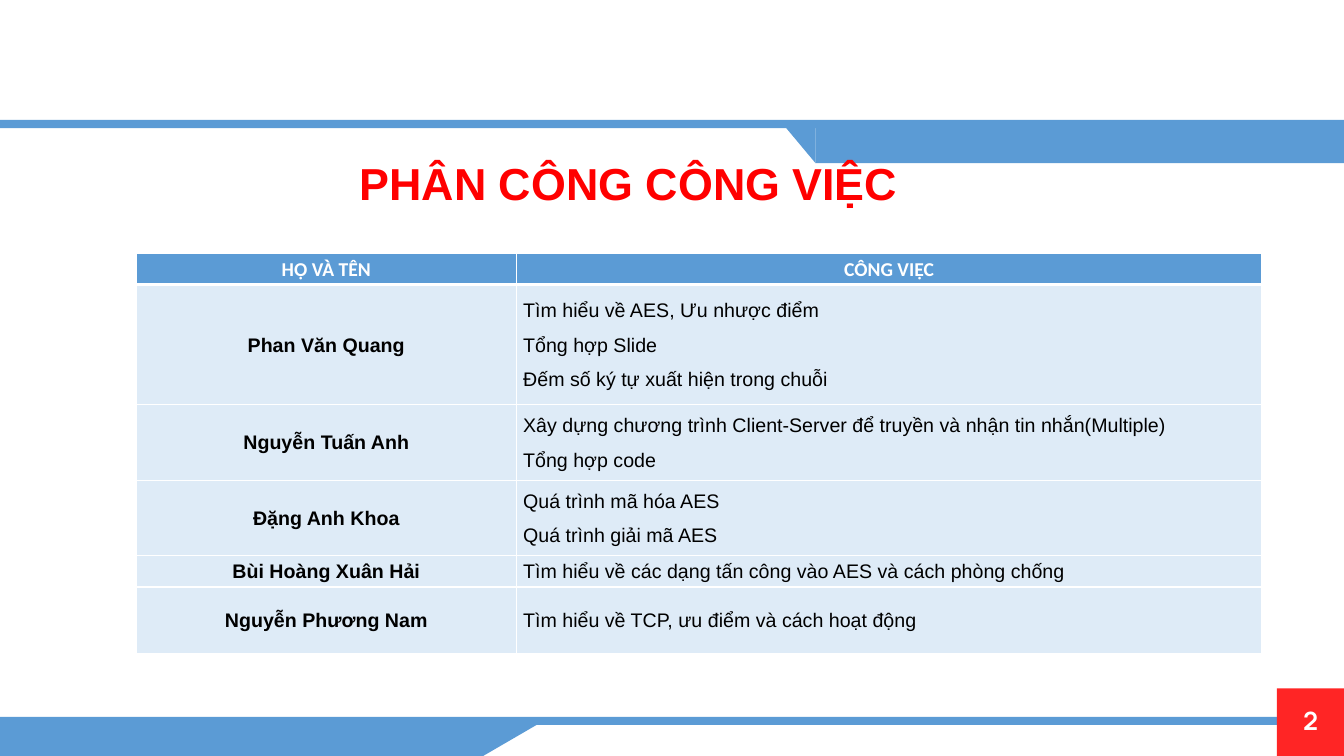
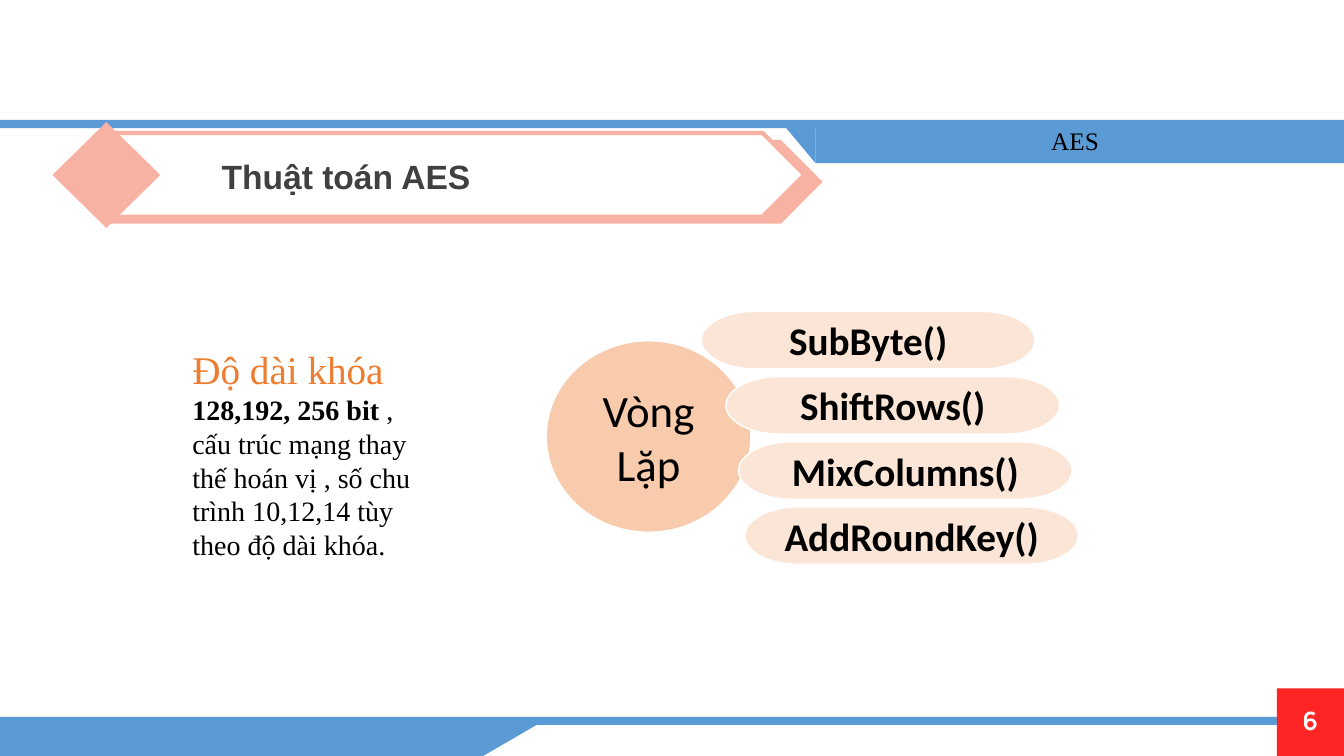
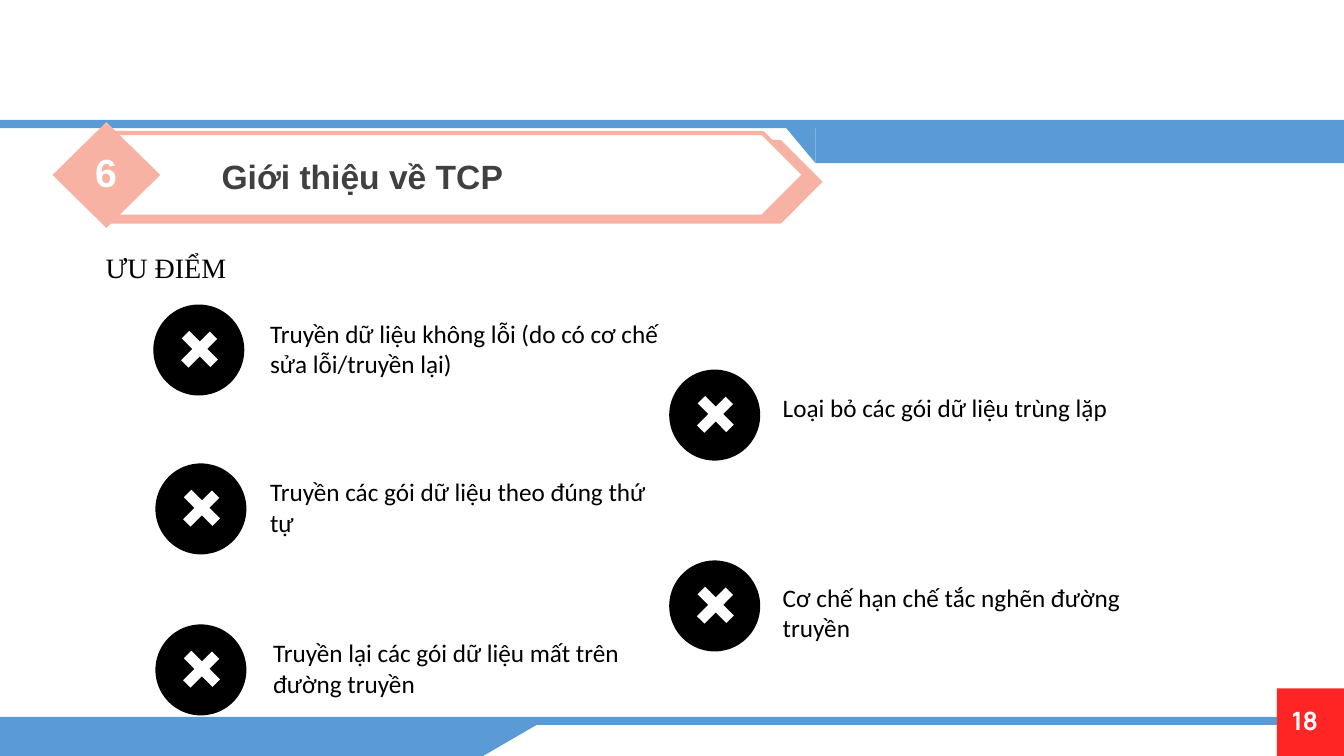
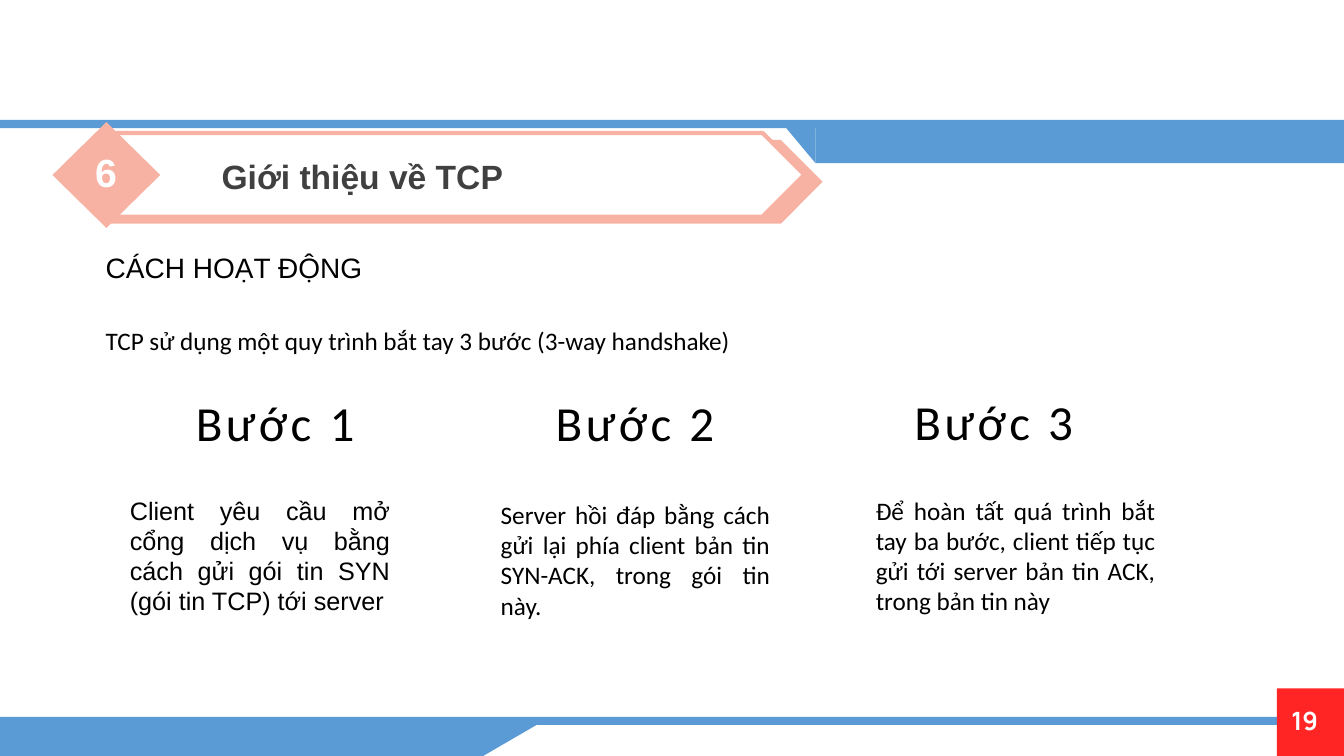
from pptx import Presentation
from pptx.dml.color import RGBColor
from pptx.enum import shapes as es, text as et
from pptx.oxml import parse_xml
from pptx.oxml.ns import nsdecls
from pptx.util import Pt

BLUE, RED, PINK, WHITE, BLACK = "5B9BD5", "FF2525", "F8B2A3", "FFFFFF", "000000"
GREY, ORANGE, PEACH, CREAM, PALE = "404040", "ED7D31", "F8CBAD", "FBE5D6", "DEEBF7"
KIND, ALIGN = es.MSO_SHAPE, et.PP_ALIGN
MID = et.MSO_ANCHOR.MIDDLE
SERIF = "Times New Roman"

HEADS = ["HỌ VÀ TÊN", "CÔNG VIỆC"]
TASKS = [
    ("Phan Văn Quang", ["Tìm hiểu về AES, Ưu nhược điểm", "Tổng hợp Slide",
                        "Đếm số ký tự xuất hiện trong chuỗi"], 85.7),
    ("Nguyễn Tuấn Anh", ["Xây dựng chương trình Client-Server để truyền và nhận tin nhắn(Multiple)",
                         "Tổng hợp code"], 54),
    ("Đặng Anh Khoa", ["Quá trình mã hóa AES", "Quá trình giải mã AES"], 54),
    ("Bùi Hoàng Xuân Hải", ["Tìm hiểu về các dạng tấn công vào AES và cách phòng chống"], 22.3),
    ("Nguyễn Phương Nam", ["Tìm hiểu về TCP, ưu điểm và cách hoạt động"], 47.5),
]
KEYS = [
    [("Độ dài khóa", {"size": 28, "color": ORANGE})],
    [("128,192, 256 bit ", {"bold": True}),
     (", cấu trúc mạng thay thế hoán vị , số chu trình 10,12,14 tùy theo độ dài khóa.", {})],
]
LOOP = [("SubByte()", 501), ("ShiftRows()", 518.5), ("MixColumns()", 527.5), ("AddRoundKey()", 532)]
# text, badge left and top, text left, top and width
PROS = [
    ("Truyền dữ liệu không lỗi (do có cơ chế sửa lỗi/truyền lại)", 109.5, 217.5, 185.8, 224, 292),
    ("Truyền các gói dữ liệu theo đúng thứ tự", 111, 331, 185.8, 337, 292),
    ("Truyền lại các gói dữ liệu mất trên đường truyền", 111, 446, 188, 452, 291),
    ("Loại bỏ các gói dữ liệu trùng lặp", 478, 264, 552, 276.5, 273),
    ("Cơ chế hạn chế tắc nghẽn đường truyền", 478, 400.3, 552, 412.5, 273),
]
# heading left and top, text, its left, top and width, font
STEPS = [
    (130.3, 285, "Client yêu cầu mở cổng dịch vụ bằng cách gửi gói tin SYN (gói tin TCP) tới server",
     85.7, 350, 200, "Arial"),
    (387.4, 285, "Server hồi đáp bằng cách gửi lại phía client bản tin SYN-ACK, trong gói tin này.",
     350.6, 353, 206.6, "Calibri"),
    (643.7, 284.4, "Để hoàn tất quá trình bắt tay ba bước, client tiếp tục gửi tới server bản tin ACK, "
     "trong bản tin này", 618.5, 350, 213.8, "Calibri"),
]


def rgb(code):
    return RGBColor.from_string(code)


def write(frame, paras, font="Calibri", size=18, color=BLACK, bold=False, align=ALIGN.LEFT,
          line=None, before=None, after=None, track=0):
    """Fill a frame; paras is a string or a list of strings or of (text, format) lists."""
    for i, para in enumerate([paras] if isinstance(paras, str) else paras):
        p = frame.paragraphs[0] if i == 0 else frame.add_paragraph()
        p.alignment, p.line_spacing = align, line
        p.space_before, p.space_after = before, after
        for words, own in [(para, {})] if isinstance(para, str) else para:
            run = p.add_run()
            run.text = words
            f = run.font
            f.name, f.size = font, Pt(own.get("size", size))
            f.bold = own.get("bold", bold)
            f.color.rgb = rgb(own.get("color", color))
            if track:
                run._r.get_or_add_rPr().set("spc", str(track))


def pad(item, left, top, right, low):
    item.margin_left, item.margin_top = Pt(left), Pt(top)
    item.margin_right, item.margin_bottom = Pt(right), Pt(low)


def label(slide, box, paras, wrap=True, grow=True, anchor=et.MSO_ANCHOR.TOP, ins=None, **fmt):
    frame = slide.shapes.add_textbox(*map(Pt, box)).text_frame
    frame.word_wrap, frame.vertical_anchor = wrap, anchor
    frame.auto_size = et.MSO_AUTO_SIZE.SHAPE_TO_FIT_TEXT if grow else et.MSO_AUTO_SIZE.NONE
    if ins:
        pad(frame, *ins)
    write(frame, paras, **fmt)


def shape(slide, kind, box, fill, edge=None, width=1, turn=0, words=None, **fmt):
    s = slide.shapes.add_shape(kind, *map(Pt, box))
    s.shadow.inherit = False
    s.rotation = turn
    s.fill.solid()
    s.fill.fore_color.rgb = rgb(fill)
    if edge:
        s.line.color.rgb, s.line.width = rgb(edge), Pt(width)
    else:
        s.line.fill.background()
    if words:
        s.text_frame.word_wrap, s.text_frame.vertical_anchor = True, MID
        write(s.text_frame, words, align=ALIGN.CENTER, **fmt)


def stroke(slide, ends, color, width):
    c = slide.shapes.add_connector(es.MSO_CONNECTOR.STRAIGHT, *map(Pt, ends))
    c.line.color.rgb, c.line.width = rgb(color), Pt(width)
    c._element.spPr.append(parse_xml(f"<a:effectLst {nsdecls('a')}/>"))


def base(deck, number):
    """Add a blank slide with its bands and page number."""
    slide = deck.slides.add_slide(deck.slide_layouts[6])
    for kind, box, turn in [
        (KIND.RECTANGLE, (0, 85.7, 960, 5.8), 0),
        (KIND.RECTANGLE, (582.5, 89, 377.5, 27.5), 0),
        (KIND.RIGHT_TRIANGLE, (558, 87.2, 24.5, 29.3), 180),
        (KIND.RECTANGLE, (0, 512, 960, 5.8), 0),
        (KIND.RECTANGLE, (0, 517, 345, 23), 0),
        (KIND.RIGHT_TRIANGLE, (353.5, 507.7, 23.8, 41), 90),
    ]:
        shape(slide, kind, box, BLUE, turn=turn)
    shape(slide, KIND.RECTANGLE, (912, 491.8, 48, 48.2), RED)
    label(slide, (915, 500.4, 26.6, 33), str(number), grow=False, ins=(0, 5.8, 0, 0), font="Manrope",
          color=WHITE, bold=True, align=ALIGN.RIGHT, line=0.9, before=Pt(10))
    return slide


def banner(slide, title, mark=None):
    shape(slide, KIND.PENTAGON, (77.8, 100, 509.8, 59.8), PINK)
    shape(slide, KIND.PENTAGON, (77.8, 95, 496.8, 59.8), WHITE, PINK, 3)
    shape(slide, KIND.DIAMOND, (37.5, 87.2, 77, 75.6), PINK)
    if mark:
        label(slide, (59.8, 102.2, 31.7, 41), mark, anchor=MID, font="Arial", size=28,
              color=WHITE, bold=True, align=ALIGN.CENTER)
    label(slide, (151.2, 108, 350, 36), title, font="Arial", size=24, color=GREY, bold=True)


def fill(cell, paras, back, low=1, **fmt):
    """Format one table cell; low is the width of its bottom border."""
    tc = cell._tc.get_or_add_tcPr()
    for side, wide in zip("LRTB", (1, 1, 1, low)):
        tc.append(parse_xml(
            f'<a:ln{side} {nsdecls("a")} w="{Pt(wide)}"><a:solidFill>'
            f'<a:srgbClr val="{WHITE}"/></a:solidFill></a:ln{side}>'))
    cell.fill.solid()
    cell.fill.fore_color.rgb = rgb(back)
    cell.vertical_anchor = MID
    pad(cell, 5, 0, 5, 0)
    write(cell.text_frame, paras, size=14, line=1.07, after=Pt(8), **fmt)


def duties(deck):
    slide = base(deck, 2)
    label(slide, (249.8, 108, 411, 46), "PHÂN CÔNG CÔNG VIỆC", wrap=False, font="Arial", size=32,
          color="FF0000", bold=True)
    highs = [22.3] + [task[2] for task in TASKS]
    grid = slide.shapes.add_table(len(highs), 2, Pt(97.5), Pt(181), Pt(804), Pt(sum(highs))).table
    for col, wide in zip(grid.columns, (271.2, 532.8)):
        col.width = Pt(wide)
    for row, high in zip(grid.rows, highs):
        row.height = Pt(high)
    for c, head in enumerate(HEADS):
        fill(grid.cell(0, c), head, BLUE, 3, color=WHITE, bold=True, align=ALIGN.CENTER)
    for r, (name, jobs, _) in enumerate(TASKS, 1):
        fill(grid.cell(r, 0), name, PALE, 3 if r == 0 else 1, font="Arial", bold=True,
             align=ALIGN.CENTER)
        fill(grid.cell(r, 1), jobs, PALE, font="Arial")


def cipher(deck):
    slide = base(deck, 6)
    banner(slide, "Thuật toán AES")
    label(slide, (743.8, 85.7, 49, 29), "AES", wrap=False, font=SERIF)
    label(slide, (130.3, 243.4, 189.4, 162.7), KEYS, font=SERIF, size=20)
    shape(slide, KIND.OVAL, (390.2, 243.4, 146.2, 136.8), PEACH, WHITE, words="Vòng Lặp", size=32)
    for i, (name, left) in enumerate(LOOP):
        shape(slide, KIND.FLOWCHART_TERMINATOR, (left, 222.5 + 46.55 * i, 238.3, 41), CREAM, WHITE,
              words=name, size=28, bold=True)


def merits(deck):
    slide = base(deck, 18)
    banner(slide, "Giới thiệu về TCP", "6")
    label(slide, (68.4, 175.7, 101.5, 31.7), "ƯU ĐIỂM", wrap=False, font=SERIF, size=20)
    for words, x, y, left, top, wide in PROS:
        shape(slide, KIND.OVAL, (x, y, 65, 65), BLACK)
        stroke(slide, (x + 43, y + 22, x + 22.5, y + 42.5), WHITE, 7.5)
        stroke(slide, (x + 43.5, y + 42, x + 23, y + 21.5), WHITE, 7.5)
        label(slide, (left, top, wide, 51), words)


def shake(deck):
    slide = base(deck, 19)
    banner(slide, "Giới thiệu về TCP", "6")
    label(slide, (68.4, 175.7, 199.4, 31.7), "CÁCH HOẠT ĐỘNG", wrap=False, font="Arial", size=20)
    label(slide, (68.4, 229, 676, 29), "TCP sử dụng một quy trình bắt tay 3 bước (3-way handshake)")
    for i, (x, y, words, left, top, wide, font) in enumerate(STEPS, 1):
        label(slide, (x, y, 132.5, 37.4), f"Bước {i}", wrap=False, anchor=MID, ins=(0, 0, 0, 0),
              size=35, align=ALIGN.CENTER, line=Pt(37), track=250)
        label(slide, (left, top, wide, 94.3), words, font=font, align=ALIGN.JUSTIFY)


def main():
    deck = Presentation()
    deck.slide_width, deck.slide_height = Pt(960), Pt(540)
    for build in (duties, cipher, merits, shake):
        build(deck)
    deck.save("out.pptx")


if __name__ == "__main__":
    main()
